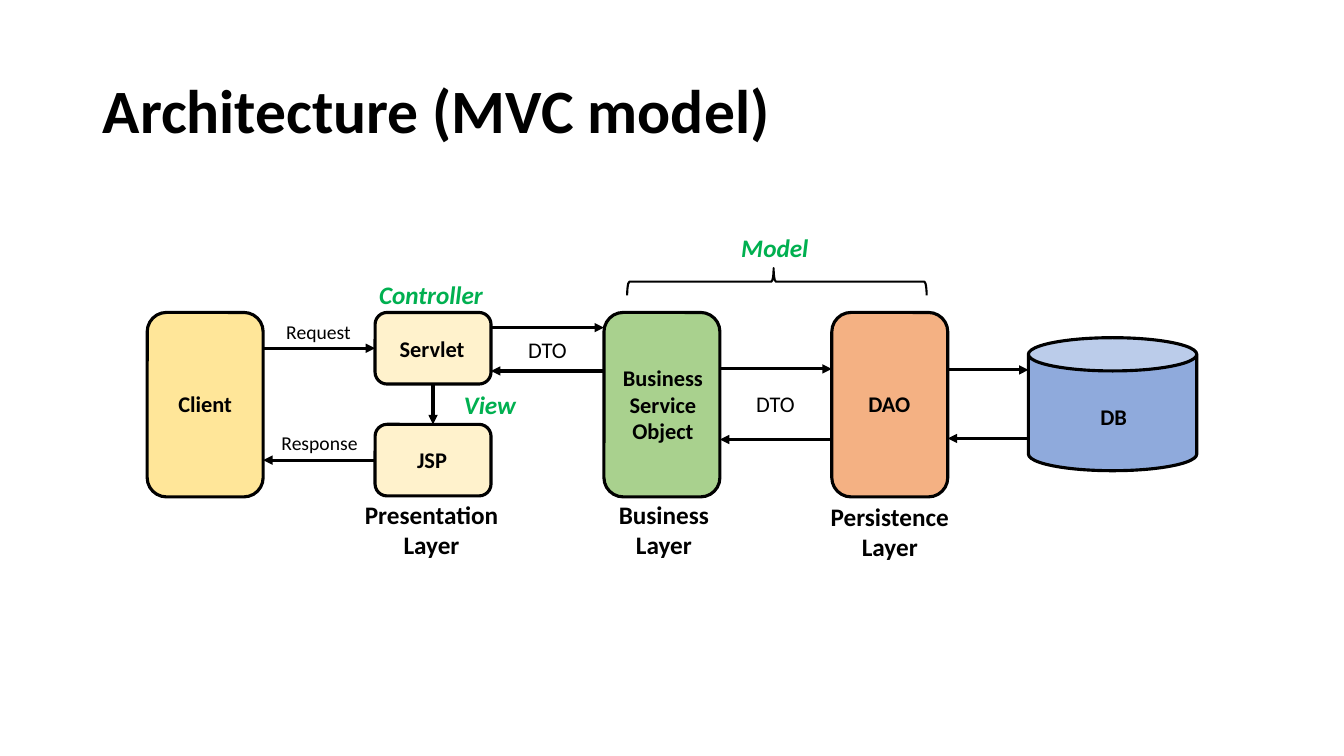
"""Builds the MVC architecture slide."""
from lxml.etree import SubElement
from pptx import Presentation
from pptx.dml.color import RGBColor
from pptx.enum.shapes import MSO_CONNECTOR, MSO_SHAPE
from pptx.enum.text import MSO_ANCHOR, MSO_AUTO_SIZE, PP_ALIGN
from pptx.oxml.ns import qn
from pptx.util import Inches, Pt

COLOURS = {
    "ink": "000000",
    "role": "00B050",
    "client": "FFE699",
    "web": "FFF2CC",
    "business": "A9D18E",
    "dao": "F4B183",
    "database": "8FAADC",
}
BOX_WIDTH, TALL, SHORT = 1.15, 1.83, 0.71
TOP, JSP_TOP = 3.1, 4.21
CLIENT_X, WEB_X, BUSINESS_X, DAO_X, DB_X = 1.46, 3.72, 5.99, 8.25, 10.2
REQUEST_Y, RESPONSE_Y = TOP + SHORT / 2, JSP_TOP + SHORT / 2
WEB_MIDDLE = WEB_X + BOX_WIDTH / 2

NAME = {"size": Pt(16), "bold": True}
LAYER = {"size": Pt(18), "bold": True}
ROLE = {"size": Pt(18), "bold": True, "italic": True}
DATA = {"size": Pt(16)}
MESSAGE = {"size": Pt(14)}
TITLE = {"size": Pt(44), "bold": True}

LABELS = [
    ("Client", (1.62, 3.82, 0.83, 0.37), NAME, "ink"),
    ("Servlet", (3.79, 3.28, 0.99, 0.37), NAME, "ink"),
    ("JSP", (3.87, 4.38, 0.83, 0.37), NAME, "ink"),
    ("Business\nService\nObject", (6.02, 3.56, 1.11, 0.91), NAME, "ink"),
    ("DAO", (8.45, 3.82, 0.74, 0.37), NAME, "ink"),
    ("DB", (10.63, 3.95, 0.83, 0.37), NAME, "ink"),
    ("Presentation Layer", (3.45, 4.9, 1.66, 0.71), LAYER, "ink"),
    ("Business\nLayer", (5.95, 4.9, 1.27, 0.71), LAYER, "ink"),
    ("Persistence\nLayer", (8.12, 4.92, 1.41, 0.71), LAYER, "ink"),
    ("Controller", (3.61, 2.72, 1.33, 0.4), ROLE, "role"),
    ("View", (4.41, 3.81, 0.9, 0.4), ROLE, "role"),
    ("Model", (7.02, 2.26, 1.33, 0.4), ROLE, "role"),
    ("DTO", (5.06, 3.29, 0.74, 0.37), DATA, "ink"),
    ("DTO", (7.32, 3.82, 0.74, 0.37), DATA, "ink"),
    ("Request", (2.63, 3.12, 1.06, 0.34), MESSAGE, "ink"),
    ("Response", (2.64, 4.23, 1.06, 0.34), MESSAGE, "ink"),
]


def colour(name):
    return RGBColor.from_string(COLOURS[name])


def format_text(frame, text, font, ink, align):
    frame.text = text
    for para in frame.paragraphs:
        para.alignment = align
        for span in para.runs:
            for key, value in {"name": "Calibri", **font}.items():
                setattr(span.font, key, value)
            span.font.color.rgb = colour(ink)


def add_title(page, text):
    title = page.shapes.title
    place = {"left": 0.92, "top": 0.4, "width": 11.5, "height": 1.45}
    for key, value in place.items():
        setattr(title, key, Inches(value))
    frame = title.text_frame
    frame.vertical_anchor = MSO_ANCHOR.MIDDLE
    format_text(frame, text, TITLE, "ink", PP_ALIGN.LEFT)
    frame.paragraphs[0].line_spacing = 0.9


def add_label(page, text, place, font, ink):
    frame = page.shapes.add_textbox(*map(Inches, place)).text_frame
    frame.word_wrap = True
    frame.auto_size = MSO_AUTO_SIZE.SHAPE_TO_FIT_TEXT
    format_text(frame, text, font, ink, PP_ALIGN.CENTER)


def add_outline(page, kind, place, weight=2.25):
    shape = page.shapes.add_shape(kind, *map(Inches, place))
    shape.shadow.inherit = False
    shape.fill.background()
    shape.line.color.rgb = colour("ink")
    shape.line.width = Pt(weight)
    return shape


def add_box(page, place, fill, kind=MSO_SHAPE.ROUNDED_RECTANGLE):
    box = add_outline(page, kind, place)
    box.fill.solid()
    box.fill.fore_color.rgb = colour(fill)
    return box


def add_brace(page):
    brace = add_outline(page, MSO_SHAPE.LEFT_BRACE, (7.57, 1.31, 0.27, 2.97), 1.5)
    brace.rotation = 90
    brace.adjustments[0] = 0.083
    brace.adjustments[1] = 0.511


def add_arrow(page, start, end):
    arrow = page.shapes.add_connector(
        MSO_CONNECTOR.STRAIGHT, *map(Inches, (*start, *end)))
    arrow.line.color.rgb = colour("ink")
    arrow.line.width = Pt(2.25)
    SubElement(arrow.line._get_or_add_ln(), qn("a:tailEnd"), type="triangle")
    SubElement(arrow._element.spPr, qn("a:effectLst"))
    return arrow


def main():
    deck = Presentation()
    deck.slide_width, deck.slide_height = Inches(13.33), Inches(7.5)
    page = deck.slides.add_slide(deck.slide_layouts[5])
    add_title(page, "Architecture (MVC model)")

    for left, fill in ((CLIENT_X, "client"), (BUSINESS_X, "business"), (DAO_X, "dao")):
        add_box(page, (left, TOP, BOX_WIDTH, TALL), fill)
    servlet, jsp = [add_box(page, (WEB_X, top, BOX_WIDTH, SHORT), "web")
                    for top in (TOP, JSP_TOP)]
    add_box(page, (DB_X, 3.35, 1.67, 1.32), "database", MSO_SHAPE.CAN)
    add_brace(page)

    client_edge = CLIENT_X + BOX_WIDTH
    request = add_arrow(page, (client_edge, REQUEST_Y), (WEB_X, REQUEST_Y))
    request.end_connect(servlet, 1)
    response = add_arrow(page, (WEB_X, RESPONSE_Y), (client_edge, RESPONSE_Y))
    response.begin_connect(jsp, 1)
    forward = add_arrow(page, (WEB_MIDDLE, TOP + SHORT), (WEB_MIDDLE, JSP_TOP))
    forward.begin_connect(servlet, 2)
    forward.end_connect(jsp, 0)

    for left, right, call_y, reply_y in (
            (WEB_X, BUSINESS_X, 3.25, 3.68),
            (BUSINESS_X, DAO_X, 3.66, 4.36),
            (DAO_X, DB_X, 3.67, 4.35)):
        edge = left + BOX_WIDTH
        add_arrow(page, (edge, call_y), (right, call_y))
        add_arrow(page, (right, reply_y), (edge, reply_y))

    for label in LABELS:
        add_label(page, *label)
    deck.save("out.pptx")


if __name__ == "__main__":
    main()
